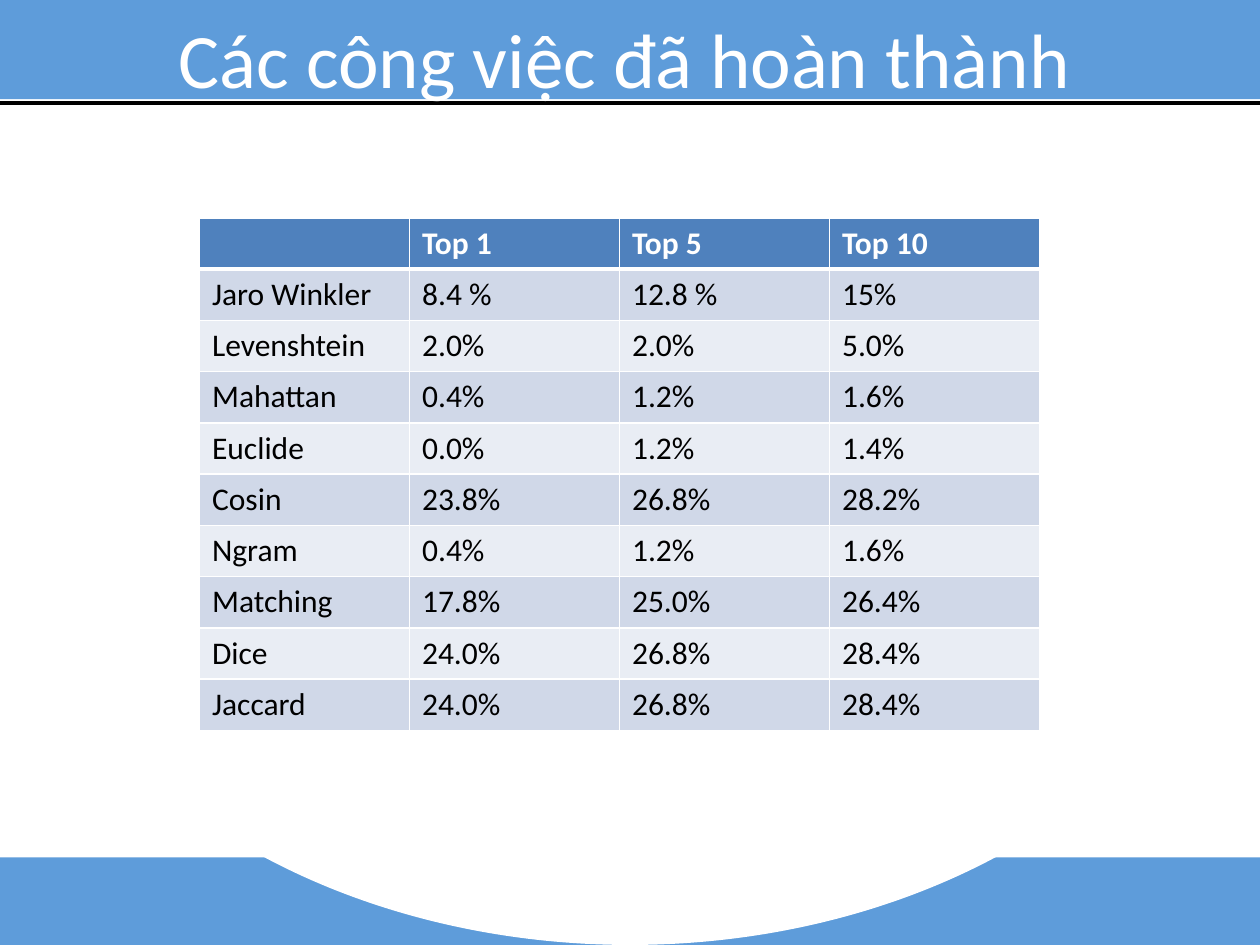
from dataclasses import dataclass

from lxml import etree
from pptx import Presentation
from pptx import util as u
from pptx.dml.color import RGBColor
from pptx.enum import shapes, text
from pptx.oxml.ns import qn

WIDE, HIGH = 720, 540


@dataclass(frozen=True)
class Theme:
    face: str = "Calibri"
    band: str = "5E9CDA"
    head: str = "4F81BD"
    odd: str = "D0D8E8"
    even: str = "E9EDF4"
    white: str = "FFFFFF"
    black: str = "000000"
    title: int = 44
    body: int = 18


class Deck:
    def __init__(self, theme):
        self.theme = theme
        self.file = Presentation()
        self.file.slide_width = u.Pt(WIDE)
        self.file.slide_height = u.Pt(HIGH)
        self.page = self.file.slides.add_slide(self.file.slide_layouts[5])

    def font(self, para, size, color, bold=False):
        font = para.font
        font.name, font.size, font.bold = self.theme.face, u.Pt(size), bold
        font.color.rgb = RGBColor.from_string(color)

    def shape(self, kind, box, color):
        item = self.page.shapes.add_shape(kind, *map(u.Pt, box))
        item.shadow.inherit = False
        item.fill.solid()
        item.fill.fore_color.rgb = RGBColor.from_string(color)
        item.line.fill.background()

    def rule(self, y, width, color):
        line = self.page.shapes.add_connector(
            shapes.MSO_CONNECTOR.STRAIGHT, 0, u.Pt(y), u.Pt(WIDE), u.Pt(y))
        line.line.width = u.Pt(width)
        line.line.color.rgb = RGBColor.from_string(color)
        etree.SubElement(line.element.spPr, qn("a:effectLst"))

    def title(self, words, box):
        """Fill the title placeholder and bring it in front of the bands."""
        item = self.page.shapes.title
        item.left, item.top, item.width, item.height = map(u.Pt, box)
        frame = item.text_frame
        frame.text = words
        frame.word_wrap = True
        frame.auto_size = text.MSO_AUTO_SIZE.NONE
        frame.vertical_anchor = text.MSO_ANCHOR.TOP
        frame.margin_left = frame.margin_right = 0
        frame.margin_top = frame.margin_bottom = 0
        para = frame.paragraphs[0]
        para.alignment = text.PP_ALIGN.LEFT
        para.line_spacing = 0.9
        self.font(para, self.theme.title, self.theme.white)
        item.element.getparent().append(item.element)

    def border(self, cell, widths):
        """Draw the left, right, top and bottom edges, in that order."""
        props = cell._tc.get_or_add_tcPr()
        for side, width in zip("LRTB", widths):
            edge = etree.SubElement(props, qn(f"a:ln{side}"), w=str(u.Pt(width)))
            fill = etree.SubElement(edge, qn("a:solidFill"))
            etree.SubElement(fill, qn("a:srgbClr"), val=self.theme.white)

    def table(self, rows, box):
        look = self.theme
        grid = self.page.shapes.add_table(
            len(rows), len(rows[0]), *map(u.Pt, box)).table
        for r, row in enumerate(rows):
            top = r == 0
            fill = look.head if top else look.odd if r % 2 else look.even
            ink = look.white if top else look.black
            for c, words in enumerate(row):
                cell = grid.cell(r, c)
                cell.text = words
                self.font(cell.text_frame.paragraphs[0], look.body, ink, top)
                self.border(cell, (1, 1, 3 if r == 1 else 1, 3 if top else 1))
                cell.fill.solid()
                cell.fill.fore_color.rgb = RGBColor.from_string(fill)


ROWS = [
    ("", "Top 1", "Top 5", "Top 10"),
    ("Jaro Winkler", "8.4 %", "12.8 %", "15%"),
    ("Levenshtein", "2.0%", "2.0%", "5.0%"),
    ("Mahattan", "0.4%", "1.2%", "1.6%"),
    ("Euclide", "0.0%", "1.2%", "1.4%"),
    ("Cosin", "23.8%", "26.8%", "28.2%"),
    ("Ngram", "0.4%", "1.2%", "1.6%"),
    ("Matching", "17.8%", "25.0%", "26.4%"),
    ("Dice", "24.0%", "26.8%", "28.4%"),
    ("Jaccard", "24.0%", "26.8%", "28.4%"),
]


def main():
    look = Theme()
    deck = Deck(look)
    kind = shapes.MSO_SHAPE
    deck.shape(kind.RECTANGLE, (0, 490, WIDE, 50), look.band)
    deck.shape(kind.OVAL, (0, 0, WIDE, HIGH), look.white)
    deck.shape(kind.RECTANGLE, (0, 0, WIDE, 56.7), look.band)
    deck.rule(58.8, 2.25, look.black)
    deck.title("Các công việc đã hoàn thành", (102, 12.5, 648, 38))
    deck.table(ROWS, (114, 124.5, 480, 293))
    deck.file.save("out.pptx")


if __name__ == "__main__":
    main()
